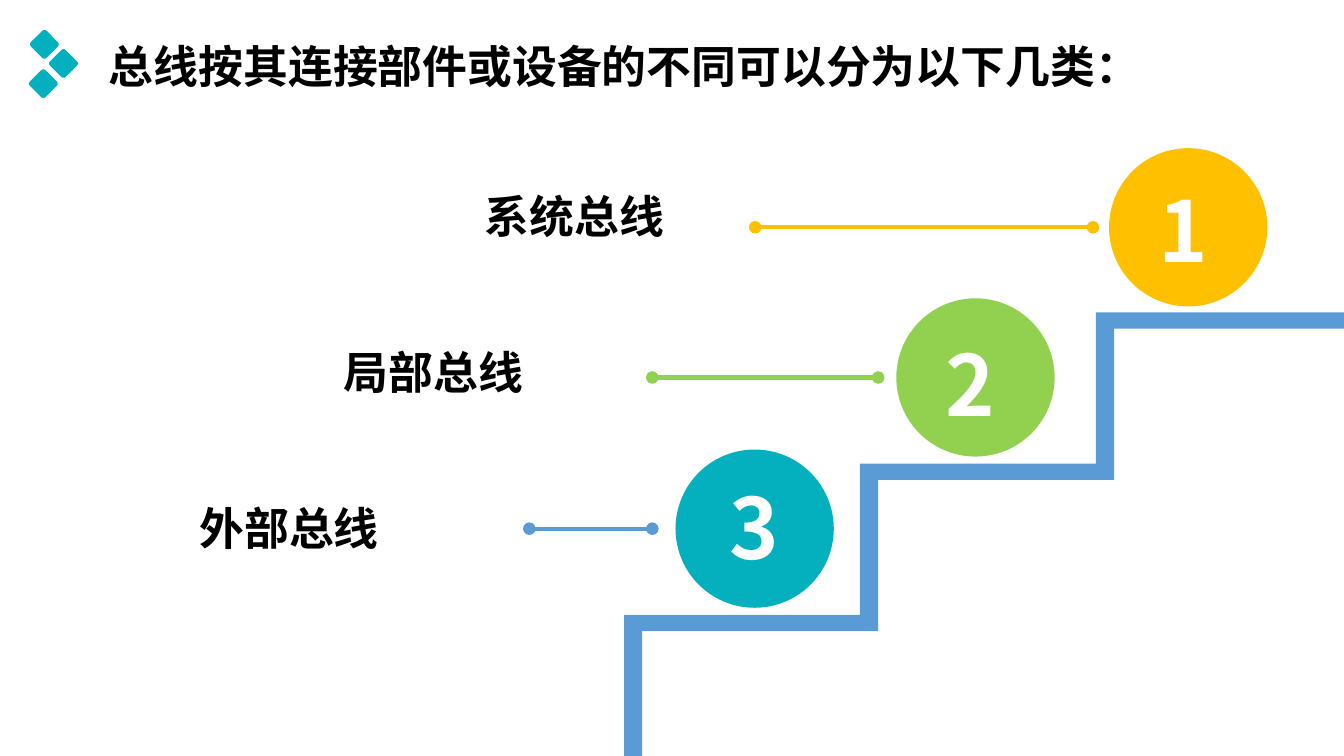
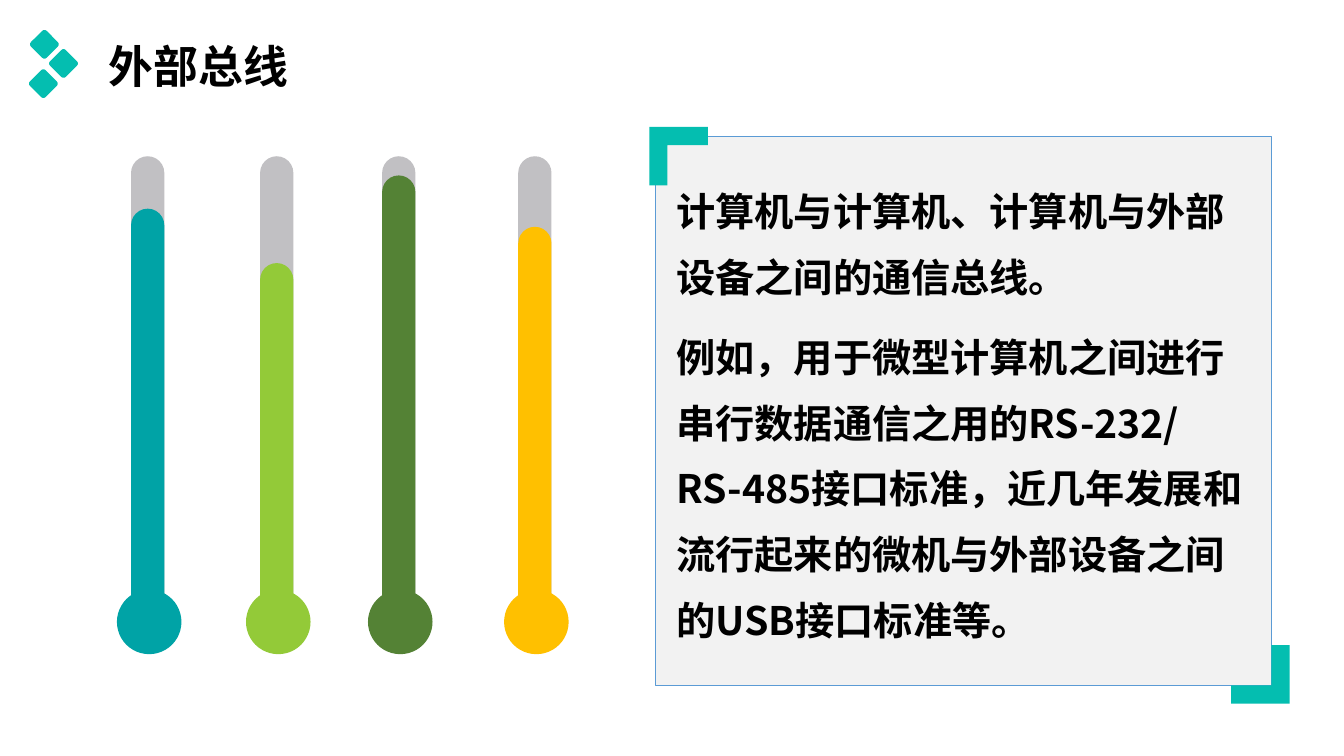
from dataclasses import dataclass

from lxml import etree
from pptx import Presentation
from pptx import util as u
from pptx.dml.color import RGBColor
from pptx.enum import shapes, text
from pptx.oxml.ns import qn


@dataclass(frozen=True)
class Theme:
    font: str = "Noto Sans CJK SC"
    ink: str = "000000"
    white: str = "FFFFFF"
    cyan: str = "04B0BE"
    turquoise: str = "04BEB0"
    teal: str = "00A3A6"
    lime: str = "92D050"
    leaf: str = "93CA38"
    forest: str = "548235"
    amber: str = "FFC000"
    blue: str = "5B9BD5"
    tube: str = "C1C0C3"
    panel: str = "F2F2F2"
    heading: int = 32
    body: int = 28
    number: int = 60


THEME = Theme()
SHAPE = shapes.MSO_SHAPE
WIDTH, HEIGHT = 13.33, 7.5


# ---- Text ----
def style_paragraph(para, size, color=THEME.ink):
    para.alignment = text.PP_ALIGN.LEFT
    font = para.font
    font.size, font.bold, font.name = u.Pt(size), True, THEME.font
    font.color.rgb = RGBColor.from_string(color)
    defaults = para._p.pPr.find(qn("a:defRPr"))
    etree.SubElement(defaults, qn("a:ea"), typeface=THEME.font)


def place(shape, left, top, width, height):
    shape.left, shape.top = u.Inches(left), u.Inches(top)
    shape.width, shape.height = u.Inches(width), u.Inches(height)


def set_frame(frame, left=0.1, top=0.05):
    frame.word_wrap = True
    frame.auto_size = text.MSO_AUTO_SIZE.NONE
    frame.vertical_anchor = text.MSO_ANCHOR.TOP
    frame.margin_left, frame.margin_right = u.Inches(left), u.Inches(0.1)
    frame.margin_top, frame.margin_bottom = u.Inches(top), u.Inches(0.05)


def add_label(page, words, left, top, width, height, size, color=THEME.ink):
    box = page.shapes.add_textbox(*map(u.Inches, (left, top, width, height)))
    set_frame(box.text_frame)
    para = box.text_frame.paragraphs[0]
    para.text = words
    style_paragraph(para, size, color)


# ---- Shapes and lines ----
def paint(shape, color):
    shape.shadow.inherit = False
    shape.fill.solid()
    shape.fill.fore_color.rgb = RGBColor.from_string(color)
    shape.line.fill.background()


def add_block(page, kind, left, top, width, height, color, rotation=0, adjust=()):
    block = page.shapes.add_shape(kind, *map(u.Inches, (left, top, width, height)))
    paint(block, color)
    block.rotation = rotation
    for index, value in enumerate(adjust):
        block.adjustments[index] = value


def add_outline(page, corners, color):
    points = [(u.Inches(x), u.Inches(y)) for x, y in corners]
    builder = page.shapes.build_freeform(*points[0], scale=1.0)
    builder.add_line_segments(points[1:], close=True)
    paint(builder.convert_to_shape(), color)


def add_dotted_end_line(page, start, end, y, color):
    line = page.shapes.add_connector(
        shapes.MSO_CONNECTOR.STRAIGHT, *map(u.Inches, (start, y, end, y)))
    line.line.width = u.Pt(3)
    line.line.color.rgb = RGBColor.from_string(color)
    outline = line.line._get_or_add_ln()
    for tag in ("a:headEnd", "a:tailEnd"):
        etree.SubElement(outline, qn(tag), type="oval")
    etree.SubElement(line._element.spPr, qn("a:effectLst"))


def add_staircase(page, corners, riser, tread, color):
    upper, lower = [], []
    floor_upper = floor_lower = HEIGHT
    for x, y in corners:
        upper += [(x, floor_upper), (x, y)]
        lower += [(x + riser, floor_lower), (x + riser, y + tread)]
        floor_upper, floor_lower = y, y + tread
    upper.append((WIDTH, floor_upper))
    lower.append((WIDTH, floor_lower))
    add_outline(page, upper + lower[::-1], color)


def add_bracket(page, x, y, direction, color):
    """Draw an L from its outer corner; direction is 1 or -1 on both axes."""
    arm, thick = 0.58 * direction, 0.18 * direction
    add_outline(page, [(x, y), (x + arm, y), (x + arm, y + thick),
                       (x + thick, y + thick), (x + thick, y + arm),
                       (x, y + arm)], color)


def add_thermometer(page, left, level, color):
    bottom, width, bulb = 6.26, 0.33, 0.64
    for top, fill in ((1.55, THEME.tube), (level, color)):
        add_block(page, SHAPE.ROUNDED_RECTANGLE, left, top, width, bottom - top,
                  fill, adjust=(0.5,))
    add_block(page, SHAPE.OVAL, left - 0.14, 5.85, bulb, bulb, color)


# ---- Shared page frame ----
def add_page(deck, layout, heading, accent):
    page = deck.slides.add_slide(deck.slide_layouts[layout])
    title = page.shapes.title
    place(title, 0.98, 0.33, 11.58, 0.64)
    set_frame(title.text_frame)
    title.text_frame.text = heading
    style_paragraph(title.text_frame.paragraphs[0], THEME.heading)
    side = 0.22
    for x, y in ((0.44, 0.44), (0.63, 0.63), (0.43, 0.83)):
        add_block(page, SHAPE.ROUNDED_RECTANGLE, x - side / 2, y - side / 2,
                  side, side, accent, 45, (0.14,))
    return page


# ---- Pages ----
def build_bus_types(deck):
    page = add_page(deck, 5, "总线按其连接部件或设备的不同可以分为以下几类：", THEME.cyan)
    # Number, circle place and fill, line ends and colour, number and label places
    steps = (
        ("3", (6.7, 4.46), THEME.cyan, (6.47, 5.25), THEME.blue,
         (7.14, 4.67), "外部总线", (1.88, 4.92)),
        ("2", (8.89, 2.96), THEME.lime, (8.71, 6.47), THEME.lime,
         (9.28, 3.25), "局部总线", (3.31, 3.37)),
        ("1", (11, 1.47), THEME.amber, (10.84, 7.49), THEME.amber,
         (11.39, 1.72), "系统总线", (4.71, 1.82)),
    )
    diameter = 1.57
    add_staircase(page, [(6.19 + 2.34 * i, 6.1 - 1.5 * i) for i in range(3)],
                  0.18, 0.16, THEME.blue)
    for number, circle, fill, ends, stroke, number_at, label, label_at in steps:
        add_block(page, SHAPE.OVAL, *circle, diameter, diameter, fill)
        add_dotted_end_line(page, *ends, circle[1] + diameter / 2, stroke)
        add_label(page, number, *number_at, 0.75, 1.11, THEME.number, THEME.white)
        add_label(page, label, *label_at, 2, 0.64, THEME.heading)


def build_external_bus(deck):
    page = add_page(deck, 1, "外部总线", THEME.turquoise)
    for left, level, color in (
            (1.3, 2.07, THEME.teal), (2.58, 2.61, THEME.leaf),
            (3.79, 1.74, THEME.forest), (5.14, 2.25, THEME.amber)):
        add_thermometer(page, left, level, color)

    # Text panel
    panel = page.placeholders[1]
    place(panel, 6.5, 1.35, 6.11, 5.45)
    panel.fill.solid()
    panel.fill.fore_color.rgb = RGBColor.from_string(THEME.panel)
    panel.line.color.rgb = RGBColor.from_string(THEME.blue)
    panel.line.width = u.Pt(0.75)
    frame = panel.text_frame
    set_frame(frame, 0.21, 0.32)
    frame.text = (
        "计算机与计算机、计算机与外部设备之间的通信总线。\n"
        "例如，用于微型计算机之间进行串行数据通信之用的RS-232/ RS-485接口标准，"
        "近几年发展和流行起来的微机与外部设备之间的USB接口标准等。")
    for index, para in enumerate(frame.paragraphs):
        para.line_spacing = 1.4
        para.space_before = u.Pt(10 if index else 0)
        properties = para._p.get_or_add_pPr()
        properties.set("marL", "0")
        properties.set("indent", "0")
        etree.SubElement(properties, qn("a:buNone"))
        style_paragraph(para, THEME.body)

    # Corner brackets
    add_bracket(page, 6.44, 1.26, 1, THEME.turquoise)
    add_bracket(page, 12.79, 6.98, -1, THEME.turquoise)


def main():
    deck = Presentation()
    deck.slide_width, deck.slide_height = u.Inches(WIDTH), u.Inches(HEIGHT)
    build_bus_types(deck)
    build_external_bus(deck)
    deck.save("out.pptx")


if __name__ == "__main__":
    main()
